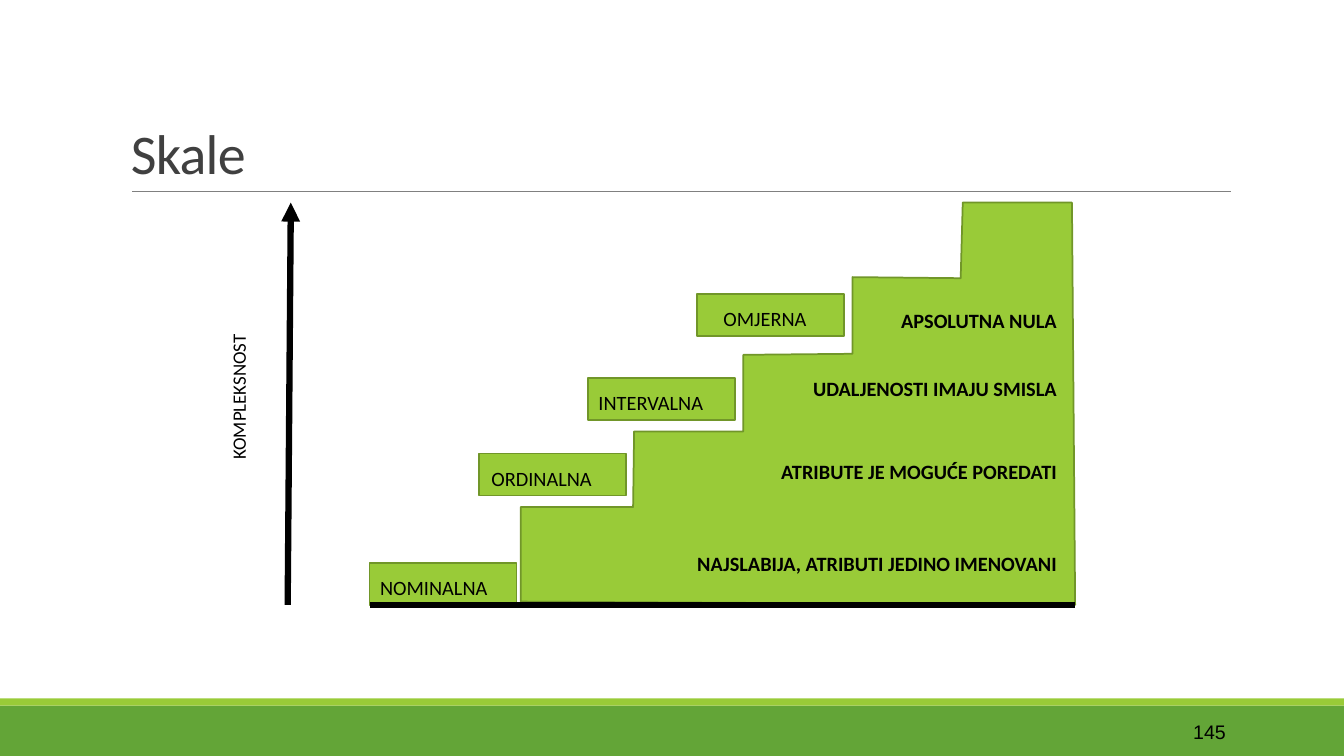
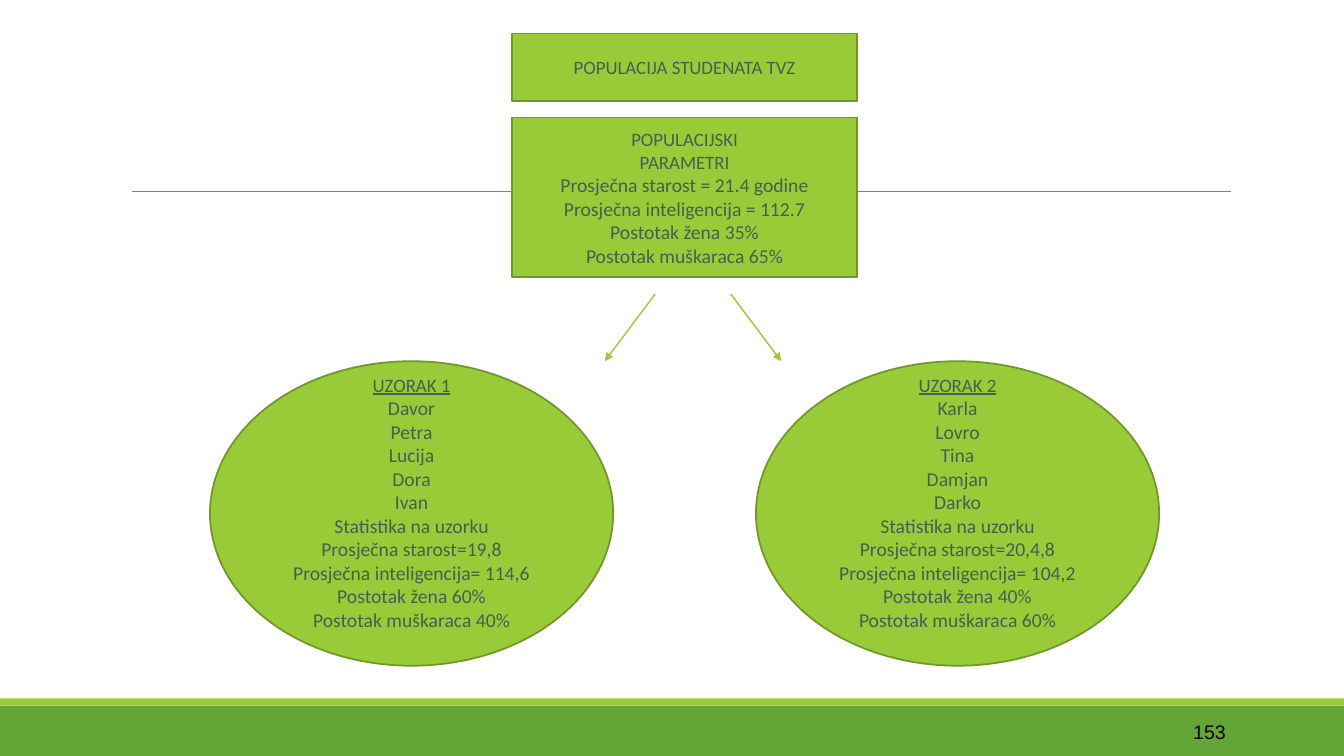
"""Build two slides: the ladder of measurement scales, and a population with its two samples."""
from dataclasses import dataclass

from pptx import Presentation
from pptx.dml.color import RGBColor
from pptx.enum.shapes import MSO_CONNECTOR, MSO_SHAPE as Shape
from pptx.enum.text import MSO_ANCHOR as Anchor, MSO_AUTO_SIZE, PP_ALIGN as Align
from pptx.oxml.ns import qn
from pptx.util import Pt
from lxml.etree import SubElement

PX = 9525
WIDTH, HEIGHT = 1280, 720


@dataclass(frozen=True)
class Theme:
    font: str = "Calibri"
    number_font: str = "Arial"
    lime: str = "99CB38"
    outline: str = "719629"
    green: str = "63A537"
    rule: str = "808080"
    title: str = "404040"
    ink: str = "000000"
    soft: str = "455F51"
    title_size: float = 40
    label_size: float = 14.5
    body_size: float = 14
    head_size: float = 13.5
    outline_width: float = 1.25


T = Theme()

SCALES = [
    ("NOMINALNA", 536, 10, "NAJSLABIJA, ATRIBUTI JEDINO IMENOVANI", 520),
    ("ORDINALNA", 432, 12, "ATRIBUTE JE MOGUĆE POREDATI", 432),
    ("INTERVALNA", 360, 10, "UDALJENOSTI IMAJU SMISLA", 353),
    ("OMJERNA", 280, 25, "APSOLUTNA NULA", 288),
]
STAIRS = [(812, 264), (812, 337), (708, 338), (708, 411), (604, 411), (603, 483),
          (496, 483), (496, 573), (1024, 576), (1021, 193), (917, 193), (915, 265)]
POPULATION = ["POPULACIJA STUDENATA TVZ"]
PARAMETERS = ["POPULACIJSKI", "PARAMETRI", "Prosječna starost = 21.4 godine",
              "Prosječna inteligencija = 112.7", "Postotak žena 35%", "Postotak muškaraca 65%"]
SAMPLES = [
    ["UZORAK 1", "Davor", "Petra", "Lucija", "Dora", "Ivan", "Statistika na uzorku",
     "Prosječna starost=19,8", "Prosječna inteligencija= 114,6",
     "Postotak žena 60%", "Postotak muškaraca 40%"],
    ["UZORAK 2", "Karla", "Lovro", "Tina", "Damjan", "Darko", "Statistika na uzorku",
     "Prosječna starost=20,4,8", "Prosječna inteligencija= 104,2",
     "Postotak žena 40%", "Postotak muškaraca 60%"],
]
SAMPLE_ARROWS = [((624, 280), (576, 344)), ((696, 280), (744, 344))]


def rgb(color):
    return RGBColor.from_string(color)


def emu(*lengths):
    return [n * PX for n in lengths]


def style_font(font, size, color, name=T.font, bold=False):
    font.size, font.name, font.bold = Pt(size), name, bold
    font.color.rgb = rgb(color)


def paint(sp, fill=T.lime, outline=T.outline):
    sp.shadow.inherit = False
    sp.fill.solid()
    sp.fill.fore_color.rgb = rgb(fill)
    if outline:
        sp.line.color.rgb = rgb(outline)
        sp.line.width = Pt(T.outline_width)
    else:
        sp.line.fill.background()
    return sp


def add_block(s, kind, box, **colors):
    return paint(s.shapes.add_shape(kind, *emu(*box)), **colors)


def write(sp, lines, size, color, align=Align.CENTER, anchor=Anchor.MIDDLE,
          name=T.font, bold=False):
    tf = sp.text_frame
    tf.text = "\n".join(lines)
    tf.word_wrap, tf.vertical_anchor = True, anchor
    for p in tf.paragraphs:
        p.alignment = align
        for r in p.runs:
            style_font(r.font, size, color, name, bold)
    return tf


def add_text(s, box, text, size, **options):
    sp = s.shapes.add_textbox(*emu(*box))
    write(sp, [text], size, T.ink, **options)
    return sp


def add_line(s, start, end, color, width, arrow=False):
    line = s.shapes.add_connector(MSO_CONNECTOR.STRAIGHT, *emu(*start, *end))
    line.line.color.rgb = rgb(color)
    line.line.width = Pt(width)
    if arrow:
        SubElement(line.line._get_or_add_ln(), qn("a:tailEnd"), type="triangle")
    SubElement(line._element.spPr, qn("a:effectLst"))


def add_slide(prs, number, title=None):
    s = prs.slides.add_slide(prs.slide_layouts[5 if title else 6])
    add_block(s, Shape.RECTANGLE, (0, 672, WIDTH, 48), fill=T.green, outline=None)
    add_block(s, Shape.RECTANGLE, (0, 665, WIDTH, 7), outline=None)
    add_line(s, (126, 182), (1172, 182), T.rule, 0.5)
    add_text(s, (1040, 678, 137, 38), number, T.body_size,
             align=Align.RIGHT, name=T.number_font)
    if title:
        sp = s.shapes.title
        sp.left, sp.top, sp.width, sp.height = emu(115, 30, 1056, 152)
        tf = write(sp, [title], T.title_size, T.title, Align.LEFT, Anchor.BOTTOM)
        tf.auto_size = MSO_AUTO_SIZE.NONE
        p = tf.paragraphs[0]
        p.line_spacing = 0.85
        p.runs[0].font._element.set("spc", "-50")
    return s


def build_scales(prs):
    s = add_slide(prs, "145", "Skale")
    builder = s.shapes.build_freeform(*STAIRS[0], scale=PX)
    builder.add_line_segments(STAIRS[1:], close=True)
    paint(builder.convert_to_shape())
    for i, (scale, top, indent, meaning, meaning_top) in enumerate(SCALES):
        step = add_block(s, Shape.RECTANGLE, (352 + 104 * i, top, 140, 40))
        tf = write(step, [scale], T.label_size, T.ink, Align.LEFT, Anchor.BOTTOM)
        tf.margin_left = indent * PX
        add_text(s, (544, meaning_top, 472, 34), meaning, T.label_size,
                 align=Align.RIGHT, bold=True)
    add_line(s, (274, 576), (277, 193), T.ink, 4.5, arrow=True)
    add_text(s, (157, 362, 140, 32), "KOMPLEKSNOST", T.head_size).rotation = 270
    add_line(s, (352, 576), (1024, 576), T.ink, 4.5)


def build_samples(prs):
    s = add_slide(prs, "153")
    population = add_block(s, Shape.RECTANGLE, (488, 32, 328, 64))
    write(population, POPULATION, T.head_size, T.soft)
    parameters = add_block(s, Shape.RECTANGLE, (488, 112, 328, 152))
    tf = write(parameters, PARAMETERS, T.body_size, T.soft)
    for p in tf.paragraphs[:2]:
        p.runs[0].font.size = Pt(T.head_size)
    for i, (sample, arrow) in enumerate(zip(SAMPLES, SAMPLE_ARROWS)):
        oval = add_block(s, Shape.OVAL, (200 + 520 * i, 344, 384, 290))
        tf = write(oval, sample, T.body_size, T.soft)
        tf.margin_bottom = 26 * PX
        heading = tf.paragraphs[0].runs[0].font
        heading.size, heading.underline = Pt(T.head_size), True
        add_line(s, *arrow, T.lime, 1, arrow=True)


def main():
    prs = Presentation()
    prs.slide_width, prs.slide_height = emu(WIDTH, HEIGHT)
    build_scales(prs)
    build_samples(prs)
    prs.save("out.pptx")


if __name__ == "__main__":
    main()
